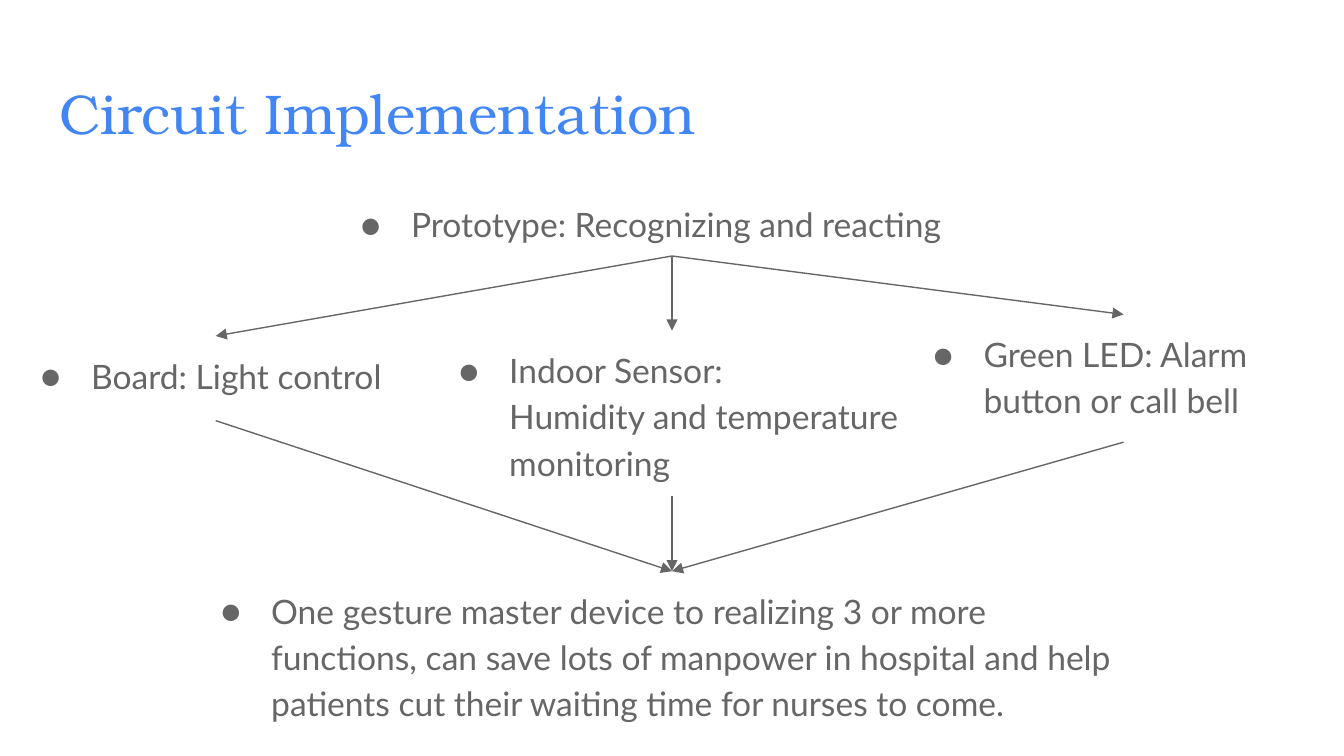
from dataclasses import dataclass

from lxml import etree
from pptx import Presentation
from pptx.dml.color import RGBColor
from pptx.enum.shapes import MSO_CONNECTOR
from pptx.enum.text import MSO_ANCHOR, MSO_AUTO_SIZE, PP_ALIGN
from pptx.oxml.ns import qn
from pptx.util import Emu, Pt

PX = 4572  # 200 px to the inch
SLIDE_WIDTH, SLIDE_HEIGHT = 2000, 1125
BLUE = RGBColor(0x42, 0x85, 0xF4)
GRAY = RGBColor(0x66, 0x66, 0x66)
TITLE_FONT, BODY_FONT = "TeX Gyre Bonum", "Lato"
STRAIGHT = MSO_CONNECTOR.STRAIGHT
TOP_ANCHOR, LEFT_ALIGN = MSO_ANCHOR.TOP, PP_ALIGN.LEFT
NO_AUTOFIT = MSO_AUTO_SIZE.NONE
TOP_SITE, BOTTOM_SITE = 0, 2
INSET, INDENT, HANGING = 20, 100, 75


@dataclass(frozen=True)
class Item:
    text: str
    left: int
    top: int
    width: int
    height: int


TITLE = Item("Circuit Implementation", 68, 97, 1864, 126)
PROTOTYPE = Item("Prototype: Recognizing and reacting", 492, 275, 1016, 106)
DEVICES = [
    Item("Board: Light control", 16, 500, 610, 126),
    Item("Indoor Sensor:\vHumidity and temperature monitoring", 638, 492, 724, 246),
    Item("Green LED: Alarm button or call bell", 1344, 468, 656, 190),
]
RESULT = Item(
    "One gesture master device to realizing 3 or more functions, can save lots of "
    "manpower in hospital and help patients cut their waiting time for nurses to come.",
    284, 850, 1432, 234,
)


def px(length: int) -> Emu:
    return Emu(length * PX)


def fill_text(shape, text: str, font_name: str, size: int, color: RGBColor):
    """Set the text of a shape and return its only paragraph."""
    frame = shape.text_frame
    frame.text = text
    frame.word_wrap = True
    frame.auto_size = NO_AUTOFIT
    frame.vertical_anchor = TOP_ANCHOR
    frame.margin_left = frame.margin_right = px(INSET)
    frame.margin_top = frame.margin_bottom = px(INSET)
    paragraph = frame.paragraphs[0]
    paragraph.alignment = LEFT_ALIGN
    for run in paragraph.runs:
        run.font.name = font_name
        run.font.size = Pt(size)
        run.font.color.rgb = color
    return paragraph


def add_bullet_item(slide, item: Item):
    box = slide.shapes.add_textbox(
        px(item.left), px(item.top), px(item.width), px(item.height))
    paragraph = fill_text(box, item.text, BODY_FONT, 18, GRAY)
    paragraph.line_spacing = 1.15
    properties = paragraph._p.get_or_add_pPr()
    properties.set("marL", str(px(INDENT)))
    properties.set("indent", str(-px(HANGING)))
    bullet_color = etree.SubElement(properties, qn("a:buClr"))
    etree.SubElement(bullet_color, qn("a:srgbClr"), val=str(GRAY))
    etree.SubElement(properties, qn("a:buFont"), typeface=BODY_FONT)
    etree.SubElement(properties, qn("a:buChar"), char="●")
    return box


def add_arrow(slide, source, target) -> None:
    """Join the bottom of one box to the top of another."""
    connector = slide.shapes.add_connector(STRAIGHT, 0, 0, 0, 0)
    connector.begin_connect(source, BOTTOM_SITE)
    connector.end_connect(target, TOP_SITE)
    connector.line.color.rgb = GRAY
    connector.line.width = Pt(0.75)
    line = connector.line._get_or_add_ln()
    etree.SubElement(line, qn("a:tailEnd"), type="triangle")
    etree.SubElement(connector._element.spPr, qn("a:effectLst"))


def main() -> None:
    presentation = Presentation()
    presentation.slide_width = px(SLIDE_WIDTH)
    presentation.slide_height = px(SLIDE_HEIGHT)
    slide = presentation.slides.add_slide(presentation.slide_layouts[5])

    # Title
    title = slide.shapes.title
    title.left, title.top = px(TITLE.left), px(TITLE.top)
    title.width, title.height = px(TITLE.width), px(TITLE.height)
    fill_text(title, TITLE.text, TITLE_FONT, 30, BLUE)

    # Bullet boxes
    result = add_bullet_item(slide, RESULT)
    devices = [add_bullet_item(slide, item) for item in DEVICES]
    prototype = add_bullet_item(slide, PROTOTYPE)

    # Arrows from the prototype to each device, then on to the result
    for device in devices:
        add_arrow(slide, prototype, device)
    for device in devices:
        add_arrow(slide, device, result)

    presentation.save("out.pptx")


if __name__ == "__main__":
    main()
